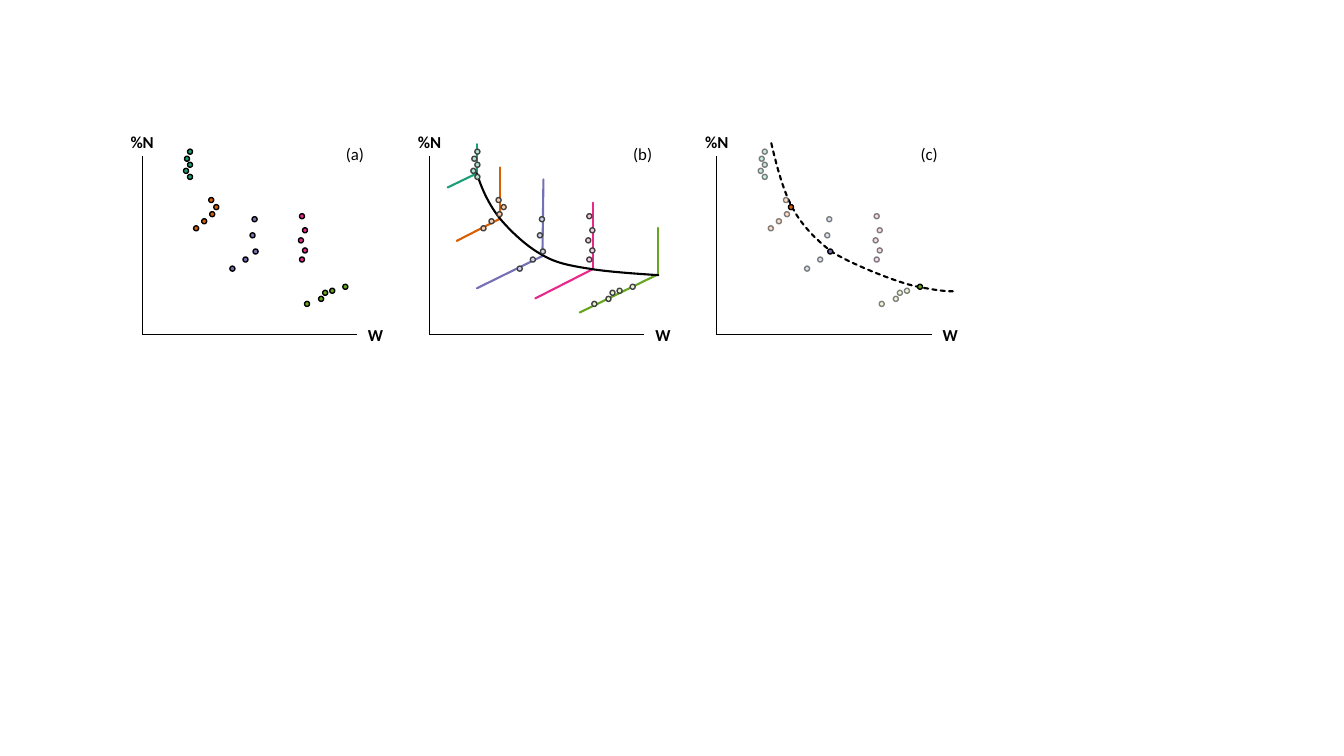
from lxml import etree
from pptx import Presentation
from pptx.dml.color import RGBColor
from pptx.enum.dml import MSO_LINE
from pptx.enum.shapes import MSO_CONNECTOR, MSO_SHAPE
from pptx.enum.text import MSO_ANCHOR, PP_ALIGN
from pptx.oxml.ns import qn
from pptx.util import Pt

PX = 9144  # EMU per px, 100 px to the inch
STRAIGHT, OVAL, DASHED = MSO_CONNECTOR.STRAIGHT, MSO_SHAPE.OVAL, MSO_LINE.SQUARE_DOT
MIDDLE, TOP = MSO_ANCHOR.MIDDLE, MSO_ANCHOR.TOP
LEFT, CENTER = PP_ALIGN.LEFT, PP_ALIGN.CENTER
FONT = "Calibri"

BLACK = RGBColor(0x00, 0x00, 0x00)
GREY = RGBColor(0x40, 0x40, 0x40)
GREEN, PALE_GREEN = RGBColor(0x1B, 0x9E, 0x77), RGBColor(0xB3, 0xE2, 0xCD)
ORANGE, PALE_ORANGE = RGBColor(0xD9, 0x5F, 0x02), RGBColor(0xFD, 0xCD, 0xAC)
PURPLE, PALE_PURPLE = RGBColor(0x75, 0x70, 0xB3), RGBColor(0xCB, 0xD5, 0xE8)
PINK, PALE_PINK = RGBColor(0xE7, 0x29, 0x8A), RGBColor(0xF4, 0xCA, 0xE4)
LIME, PALE_LIME = RGBColor(0x66, 0xA6, 0x1E), RGBColor(0xE6, 0xF5, 0xC9)

# Sampling dates: colour, pale colour, dot corners in the first panel
DATES = [
    (ORANGE, PALE_ORANGE, [(207, 196), (208, 210), (200, 217), (192, 224), (212, 203)]),
    (GREEN, PALE_GREEN, [(186, 148), (183, 155), (186, 161), (182, 167), (186, 173)]),
    (PURPLE, PALE_PURPLE, [(250, 215), (248, 231), (251, 247), (241, 255), (228, 264)]),
    (PINK, PALE_PINK, [(297, 212), (300, 226), (296, 236), (300, 246), (297, 255)]),
    (LIME, PALE_LIME, [(340, 282), (327, 286), (316, 294), (302, 299), (320, 288)]),
]
CRITICAL_DOTS = {(212, 203), (251, 247), (340, 282)}

# Fitted branches of the second panel: low end, corner, top end
BRANCHES = [
    (GREEN, [(444, 186), (473, 172), (473, 143)]),
    (ORANGE, [(453, 239), (496, 217), (496, 166)]),
    (PURPLE, [(473, 286), (538, 254), (539, 178)]),
    (PINK, [(531, 296), (588, 267), (588, 201)]),
    (LIME, [(575, 310), (653, 272), (653, 226)]),
]

# Dilution curves: start, then two control points and an end per segment
FITTED_CURVE = [(473, 172), (478, 188), (485, 203), (496, 217), (507, 230), (523, 245),
                (538, 253), (553, 262), (569, 264), (587, 267), (606, 270), (638, 272),
                (653, 273)]
CRITICAL_CURVE = [(765, 142), (769, 159), (776, 188), (786, 206), (795, 224), (812, 240),
                  (824, 249), (836, 258), (889, 281), (913, 285), (929, 288), (937, 289),
                  (945, 289)]

# Panels: letter, shift, branches, curve, dashed, pale dots, opacity of pale dots
PANELS = [
    ("(a)", 0, [], [], False, False, 100),
    ("(b)", 285, BRANCHES, FITTED_CURVE, False, True, 100),
    ("(c)", 570, [], CRITICAL_CURVE, True, True, 66),
]
ORIGIN = (141, 332)
Y_LABEL = (120, 127, 42, 28)
X_LABEL = (354, 318, 37, 28)
LETTER = (343, 138, 28, 30)
DOT = 5


def add_line(panel, start, end, color, width):
    line = panel.shapes.add_connector(STRAIGHT, *(v * PX for v in start + end))
    line.line.color.rgb = color
    line.line.width = Pt(width)
    etree.SubElement(line._element.spPr, qn("a:effectLst"))
    return line


def round_ends(shape):
    shape._element.spPr.find(qn("a:ln")).set("cap", "rnd")


def add_label(panel, text, area, shift, bold, align, anchor):
    left, top, width, height = area
    box = panel.shapes.add_textbox((left + shift) * PX, top * PX, width * PX, height * PX)
    frame = box.text_frame
    frame.word_wrap = False
    frame.margin_left = frame.margin_right = 0
    frame.vertical_anchor = anchor
    para = frame.paragraphs[0]
    para.alignment = align
    span = para.add_run()
    span.text = text
    span.font.name, span.font.size, span.font.bold = FONT, Pt(12), bold
    span.font.color.rgb = BLACK
    return box


def add_dot(panel, left, top, fill, outline, opacity):
    dot = panel.shapes.add_shape(OVAL, left * PX, top * PX, DOT * PX, DOT * PX)
    dot.shadow.inherit = False
    dot.fill.solid()
    dot.fill.fore_color.rgb = fill
    dot.line.color.rgb = outline
    dot.line.width = Pt(1)
    if opacity < 100:
        for color in dot._element.spPr.iter(qn("a:srgbClr")):
            etree.SubElement(color, qn("a:alpha"), val=str(opacity * 1000))


def add_curve(panel, points, dashed):
    builder = panel.shapes.build_freeform(*points[0], scale=PX)
    builder.add_line_segments(points[1:], close=False)
    curve = builder.convert_to_shape()
    curve.shadow.inherit = False
    curve.fill.background()
    curve.line.color.rgb = BLACK
    curve.line.width = Pt(1.5)
    if dashed:
        curve.line.dash_style = DASHED
    round_ends(curve)
    # Join every three straight segments into one Bezier segment
    segments = list(curve._element.iter(qn("a:lnTo")))
    outline = segments[0].getparent()
    for first in range(0, len(segments), 3):
        bezier = etree.SubElement(outline, qn("a:cubicBezTo"))
        for segment in segments[first:first + 3]:
            bezier.append(segment[0])
            outline.remove(segment)


def add_axes(panel, shift):
    y_label = add_label(panel, "%N", Y_LABEL, shift, True, CENTER, MIDDLE)
    x_label = add_label(panel, "W", X_LABEL, shift, True, CENTER, MIDDLE)
    origin = (ORIGIN[0] + shift, ORIGIN[1])
    y_axis = add_line(panel, origin, (origin[0], Y_LABEL[1] + Y_LABEL[3]), BLACK, 0.75)
    y_axis.end_connect(y_label, 2)
    x_axis = add_line(panel, (X_LABEL[0] + shift, origin[1]), origin, BLACK, 0.75)
    x_axis.begin_connect(x_label, 1)


deck = Presentation()
deck.slide_width, deck.slide_height = 1333 * PX, 750 * PX
page = deck.slides.add_slide(deck.slide_layouts[6])

for letter, shift, branches, curve, dashed, pale, opacity in PANELS:
    panel = page.shapes.add_group_shape()
    # Branches and curve lie behind the dots
    for color, (low, corner, high) in branches:
        for start, end in ((low, corner), (corner, high)):
            round_ends(add_line(panel, start, end, color, 1.5))
    if curve:
        add_curve(panel, curve, dashed)
    # Dots; the critical ones keep full colour in the dashed panel
    for strong, soft, dots in DATES:
        for left, top in dots:
            if pale and not (dashed and (left, top) in CRITICAL_DOTS):
                add_dot(panel, left + shift, top, soft, GREY, opacity)
            else:
                add_dot(panel, left + shift, top, strong, BLACK, 100)
    # Axes and panel letter
    add_axes(panel, shift)
    add_label(panel, letter, LETTER, shift, False, LEFT, TOP)

deck.save("out.pptx")
